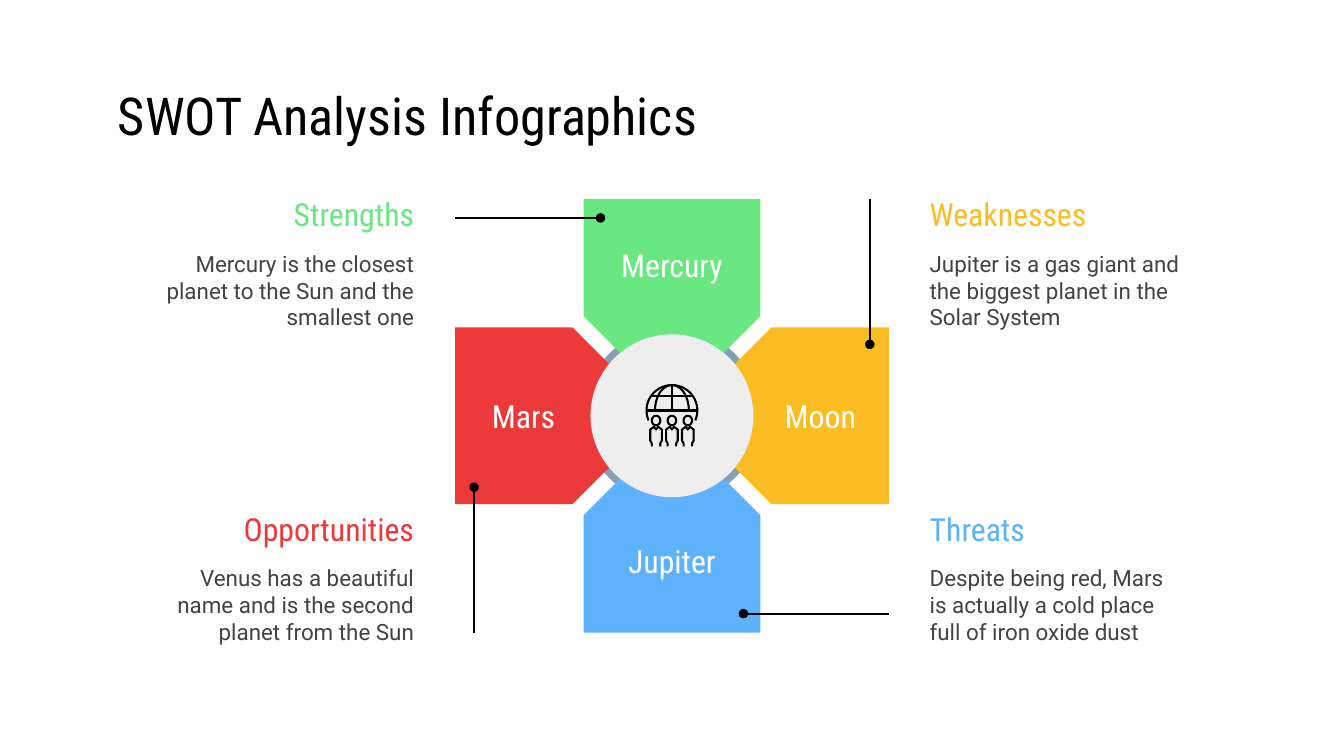
import math

import pptx
import pptx.dml.color
import pptx.enum.shapes
import pptx.enum.text
import pptx.oxml.ns
import pptx.util
from lxml import etree

Cm = pptx.util.Cm
Pt = pptx.util.Pt
RGBColor = pptx.dml.color.RGBColor
Align = pptx.enum.text.PP_ALIGN
Anchor = pptx.enum.text.MSO_ANCHOR

BLACK = RGBColor(0x00, 0x00, 0x00)
WHITE = RGBColor(0xFF, 0xFF, 0xFF)
BODY_GRAY = RGBColor(0x43, 0x43, 0x43)
HUB_GRAY = RGBColor(0xEE, 0xEE, 0xEE)
RING_BLUE = RGBColor(0x86, 0x9F, 0xB2)
GREEN = RGBColor(0x69, 0xE7, 0x81)
YELLOW = RGBColor(0xFC, 0xBD, 0x24)
BLUE = RGBColor(0x5E, 0xB2, 0xFC)
RED = RGBColor(0xEC, 0x3A, 0x3B)

TITLE = "SWOT Analysis Infographics"
HEADING_FONT = "Roboto Condensed"
BODY_FONT = "Roboto"

QUADRANTS = [
    {"heading": "Strengths", "planet": "Mercury", "color": GREEN,
     "text": "Mercury is the closest planet to the Sun and the smallest one",
     "column": "left", "row": "top", "anchor": Anchor.TOP, "inset": {"margin_top": Cm(0.89)}},
    {"heading": "Weaknesses", "planet": "Moon", "color": YELLOW,
     "text": "Jupiter is a gas giant and the biggest planet in the Solar System",
     "column": "right", "row": "top", "anchor": Anchor.MIDDLE, "inset": {"margin_left": Cm(1.02)}},
    {"heading": "Threats", "planet": "Jupiter", "color": BLUE,
     "text": "Despite being red, Mars is actually a cold place full of iron oxide dust",
     "column": "right", "row": "bottom", "anchor": Anchor.MIDDLE, "inset": {"margin_top": Cm(0.89)}},
    {"heading": "Opportunities", "planet": "Mars", "color": RED,
     "text": "Venus has a beautiful name and is the second planet from the Sun",
     "column": "left", "row": "bottom", "anchor": Anchor.MIDDLE, "inset": {"margin_right": Cm(1.02)}},
]
COLUMNS = {"left": (2.84, Align.RIGHT), "right": (17.32, Align.LEFT)}
ROWS = {"top": 3.45, "bottom": 9.4}

CENTER_X, CENTER_Y = 12.7, 7.86
PETAL = [(-1.67, -4.1), (-1.67, -1.88), (-0.53, -0.74),
         (0.53, -0.74), (1.67, -1.88), (1.67, -4.1)]
POINTER_DOT, POINTER_END = (-1.35, -3.74), (-4.1, -3.74)
GLOBE_Y, GLOBE_RADIUS = -0.1, 0.48
PERSON_OFFSETS = (-0.3, 0, 0.3)
PERSON_BODY = [(-0.08, 0.58), (-0.08, 0.52), (-0.11, 0.47), (-0.11, 0.26), (-0.04, 0.21),
               (0, 0.26), (0.04, 0.21), (0.11, 0.26), (0.11, 0.47), (0.08, 0.52), (0.08, 0.58)]


def turned(point, turns):
    x, y = point
    for _ in range(turns):
        x, y = -y, x
    return x, y


def placed(point):
    return Cm(CENTER_X + point[0]), Cm(CENTER_Y + point[1])


def arc(center_x, center_y, radius_x, radius_y, start, end, steps=32):
    angles = [math.radians(start + (end - start) * step / steps) for step in range(steps + 1)]
    return [(center_x + radius_x * math.cos(angle), center_y + radius_y * math.sin(angle))
            for angle in angles]


def paint(shape, color):
    shape.shadow.inherit = False
    shape.fill.solid()
    shape.fill.fore_color.rgb = color
    shape.line.fill.background()


def add_outline(page, points, close):
    corners = [placed(point) for point in points]
    builder = page.shapes.build_freeform(*corners[0], scale=1.0)
    builder.add_line_segments(corners[1:], close=close)
    return builder.convert_to_shape()


def add_stroke(page, points):
    stroke = add_outline(page, points, False)
    stroke.shadow.inherit = False
    stroke.fill.background()
    stroke.line.color.rgb = BLACK
    stroke.line.width = Pt(1.1)


def add_circle(page, center, radius, color):
    left, top = placed((center[0] - radius, center[1] - radius))
    circle = page.shapes.add_shape(pptx.enum.shapes.MSO_SHAPE.OVAL, left, top,
                                   Cm(2 * radius), Cm(2 * radius))
    paint(circle, color)


def add_pointer(page, start, end):
    pointer = page.shapes.add_connector(pptx.enum.shapes.MSO_CONNECTOR.STRAIGHT,
                                        *placed(start), *placed(end))
    pointer.line.color.rgb = BLACK
    pointer.line.width = Pt(1.1)
    etree.SubElement(pointer._element.spPr, pptx.oxml.ns.qn("a:effectLst"))


def write(shape, text, size, font, color, align, anchor=Anchor.MIDDLE, inset=None):
    frame = shape.text_frame
    settings = {"word_wrap": True, "auto_size": pptx.enum.text.MSO_AUTO_SIZE.NONE,
                "vertical_anchor": anchor}
    for side in ("left", "top", "right", "bottom"):
        settings["margin_" + side] = Cm(0.25)
    settings.update(inset or {})
    for name, value in settings.items():
        setattr(frame, name, value)
    para = frame.paragraphs[0]
    para.alignment = align
    span = para.add_run()
    span.text = text
    for name, value in {"size": Pt(size), "name": font, "bold": False}.items():
        setattr(span.font, name, value)
    span.font.color.rgb = color


def add_quadrant(page, turns, item):
    petal = add_outline(page, [turned(point, turns) for point in PETAL], True)
    paint(petal, item["color"])
    write(petal, item["planet"], 17, HEADING_FONT, WHITE, Align.CENTER,
          item["anchor"], item["inset"])

    dot = turned(POINTER_DOT, turns)
    add_pointer(page, dot, turned(POINTER_END, turns))
    add_circle(page, dot, 0.09, BLACK)

    left, align = COLUMNS[item["column"]]
    top = ROWS[item["row"]]
    heading = page.shapes.add_textbox(Cm(left), Cm(top), Cm(5.24), Cm(1.2))
    write(heading, item["heading"], 17, HEADING_FONT, item["color"], align)
    body = page.shapes.add_textbox(Cm(left), Cm(top + 0.97), Cm(5.24), Cm(2.13))
    write(body, item["text"], 12, BODY_FONT, BODY_GRAY, align)


def add_icon(page):
    strokes = [
        arc(0, GLOBE_Y, GLOBE_RADIUS, GLOBE_RADIUS, 157, 383),
        arc(0, GLOBE_Y, 0.32, GLOBE_RADIUS, 180, 360),
        [(-GLOBE_RADIUS, GLOBE_Y), (GLOBE_RADIUS, GLOBE_Y)],
        [(-0.39, -0.37), (0.39, -0.37)],
        [(0, GLOBE_Y - GLOBE_RADIUS), (0, GLOBE_Y + 0.03)],
    ]
    for offset in PERSON_OFFSETS:
        strokes.append(arc(offset, 0.09, 0.08, 0.09, 0, 360))
        strokes.append([(offset + x, y) for x, y in PERSON_BODY])
    for points in strokes:
        add_stroke(page, points)


def main():
    deck = pptx.Presentation()
    deck.slide_width, deck.slide_height = Cm(25.4), Cm(14.29)
    page = deck.slides.add_slide(deck.slide_layouts[5])

    title = page.shapes.title
    frame = {"left": Cm(1.98), "top": Cm(1.5), "width": Cm(21.46), "height": Cm(1.35)}
    for name, value in frame.items():
        setattr(title, name, value)
    write(title, TITLE, 28, HEADING_FONT, BLACK, Align.LEFT)

    add_circle(page, (0, 0), 1.67, RING_BLUE)
    for turns, item in enumerate(QUADRANTS):
        add_quadrant(page, turns, item)
    add_circle(page, (0, 0), 1.54, HUB_GRAY)
    add_icon(page)
    deck.save("out.pptx")


if __name__ == "__main__":
    main()
